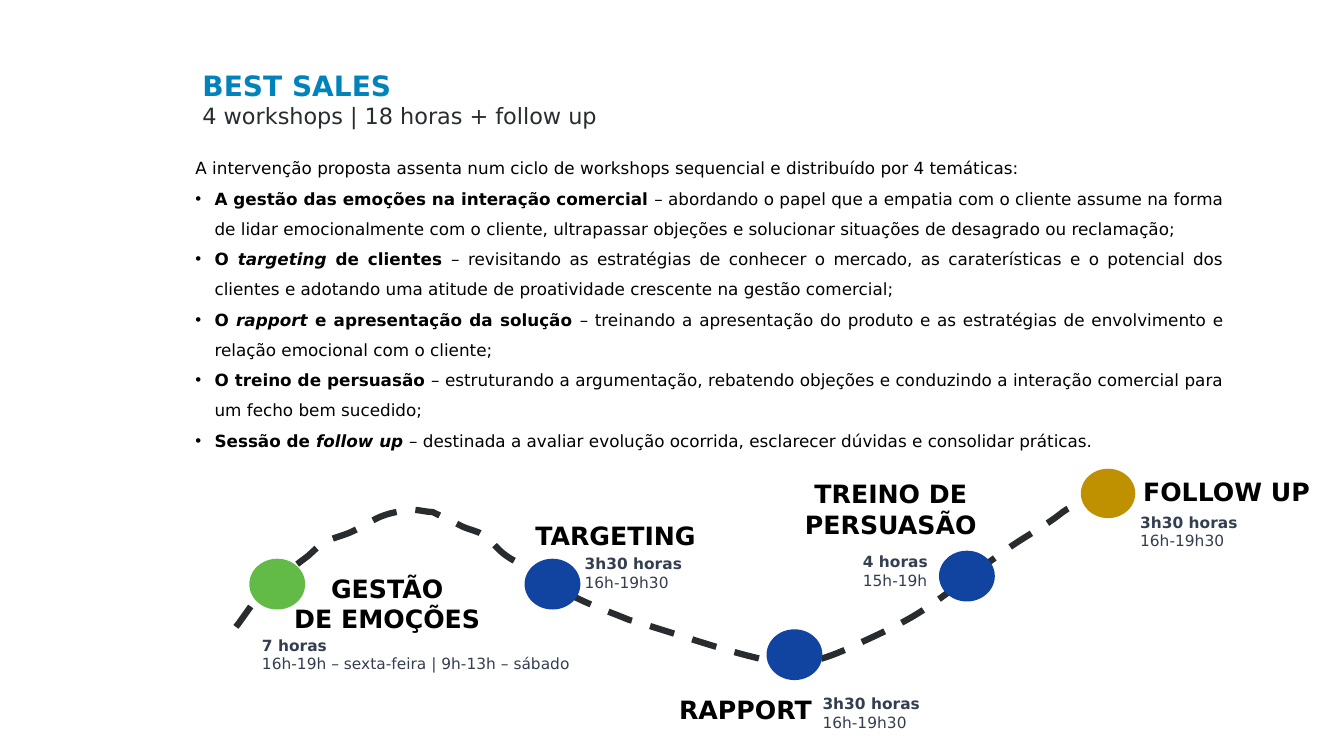
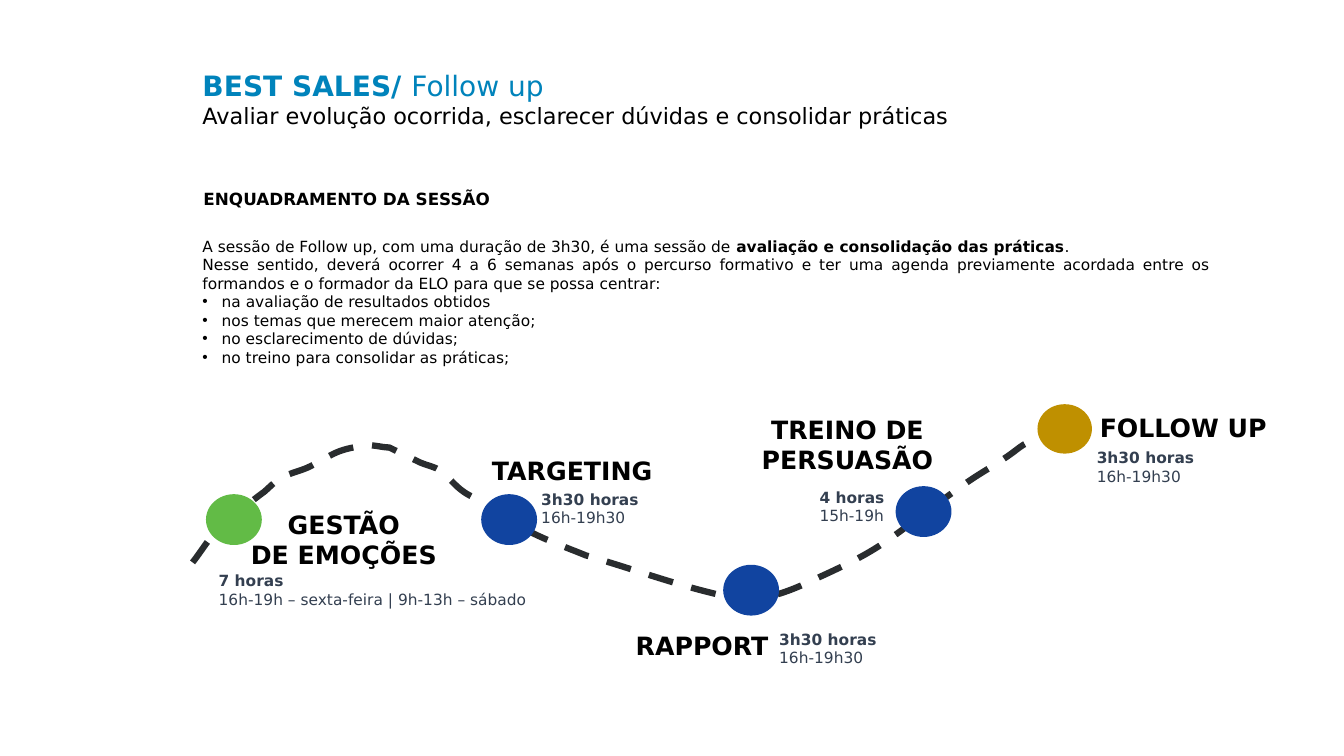
from math import cos, radians, sin

from lxml.etree import SubElement
from pptx import Presentation
from pptx.dml.color import RGBColor
from pptx.enum.dml import MSO_LINE
from pptx.enum.shapes import MSO_SHAPE
from pptx.enum.text import MSO_AUTO_SIZE, PP_ALIGN
from pptx.oxml.ns import qn
from pptx.util import Inches, Pt

FONT = "DejaVu Sans"
SKY, INK, BLACK, SLATE = "0083BB", "292C2E", "000000", "333F50"
GREEN, NAVY, GOLD = "62BB46", "1144A0", "BF9000"
LEFT, CENTER, RIGHT, JUSTIFY = PP_ALIGN.LEFT, PP_ALIGN.CENTER, PP_ALIGN.RIGHT, PP_ALIGN.JUSTIFY
DOT_W, DOT_H = 0.54, 0.49

SLIDES = [
    {
        "title": [[("BEST SALES", "b")], [("4 workshops | 18 horas + follow up", "")]],
        "title_width": 4.64,
        "subtitle_color": INK,
        "heading": None,
        "body_box": (1.84, 1.42, 10.4, 3.09),
        "body_size": 12,
        "body_spacing": 1.5,
        "intro": [
            [("A intervenção proposta assenta num ciclo de workshops sequencial e distribuído por 4 temáticas:", "")],
        ],
        "bullets": [
            [("A gestão das emoções na interação comercial ", "b"),
             ("– abordando o papel que a empatia com o cliente assume na forma de lidar emocionalmente com o "
              "cliente, ultrapassar objeções e solucionar situações de desagrado ou reclamação;", "")],
            [("O ", "b"), ("targeting", "bi"), (" de clientes ", "b"),
             ("– revisitando as estratégias de conhecer o mercado, as caraterísticas e o potencial dos clientes "
              "e adotando uma atitude de proatividade crescente na gestão comercial;", "")],
            [("O ", "b"), ("rapport", "bi"), (" e apresentação da solução ", "b"),
             ("– treinando a apresentação do produto e as estratégias de envolvimento e relação emocional "
              "com o cliente;", "")],
            [("O treino de persuasão ", "b"),
             ("– estruturando a argumentação, rebatendo objeções e conduzindo a interação comercial para um "
              "fecho bem sucedido;", "")],
            [("Sessão de ", "b"), ("follow up ", "bi"),
             ("– destinada a avaliar evolução ocorrida, esclarecer dúvidas e consolidar práticas.", "")],
        ],
        "roadmap_shift": (0, 0),
    },
    {
        "title": [[("BEST SALES/ ", "b"), ("Follow up", "")],
                  [("Avaliar evolução ocorrida, esclarecer dúvidas e consolidar práticas", "")]],
        "title_width": 9.88,
        "subtitle_color": BLACK,
        "heading": "ENQUADRAMENTO DA SESSÃO",
        "body_box": (1.91, 2.3, 10.2, 1.4),
        "body_size": 11,
        "body_spacing": 1.0,
        "intro": [
            [("A sessão de Follow up, com uma duração de 3h30, é uma sessão de ", ""),
             ("avaliação e consolidação das práticas", "b"), (".", "")],
            [("Nesse sentido, deverá ocorrer 4 a 6 semanas após o percurso formativo e ter uma agenda previamente "
              "acordada entre os formandos e o formador da ELO para que se possa centrar:", "")],
        ],
        "bullets": [
            [("na avaliação de resultados obtidos", "")],
            [("nos temas que merecem maior atenção;", "")],
            [("no esclarecimento de dúvidas;", "")],
            [("no treino para consolidar as práticas;", "")],
        ],
        "roadmap_shift": (-0.43, -0.64),
    },
]

STOPS = [
    {"dot": (2.48, 5.55), "color": GREEN, "name": ["GESTÃO", "DE EMOÇÕES"], "name_box": (2.69, 5.64, 2.3, 0.71),
     "align": CENTER, "time": ("7 horas", "16h-19h – sexta-feira | 9h-13h – sábado"),
     "time_box": (2.5, 6.26, 3.61, 0.47)},
    {"dot": (5.21, 5.55), "color": NAVY, "name": ["TARGETING"], "name_box": (5.12, 5.11, 1.97, 0.4),
     "align": CENTER, "time": ("3h30 horas", "16h-19h30"), "time_box": (5.7, 5.45, 1.3, 0.47)},
    {"dot": (7.61, 6.25), "color": NAVY, "name": ["RAPPORT"], "name_box": (6.18, 6.84, 1.97, 0.4),
     "align": RIGHT, "time": ("3h30 horas", "16h-19h30"), "time_box": (8.06, 6.84, 1.3, 0.47)},
    {"dot": (9.32, 5.47), "color": NAVY, "name": ["TREINO DE PERSUASÃO"], "name_box": (7.85, 4.7, 1.97, 0.71),
     "align": CENTER, "time": ("4 horas", "15h-19h"), "time_box": (8.46, 5.43, 0.9, 0.47)},
    {"dot": (10.72, 4.65), "color": GOLD, "name": ["FOLLOW UP"], "name_box": (11.18, 4.68, 1.97, 0.4),
     "align": CENTER, "time": ("3h30 horas", "16h-19h30"), "time_box": (11.21, 5.04, 1.3, 0.47)},
]

ROAD_BOX, ROAD_ANGLE = (2.84, 3.49, 7.66, 4.21), 20.6
ROAD_START = (2.34, 6.22)
ROAD_PIECES = [
    ((2.42, 6.12), (2.51, 5.97), (2.6, 5.88)),
    ((2.69, 5.8), (2.94, 5.6), (3.05, 5.52)),
    ((3.12, 5.46), (3.18, 5.39), (3.26, 5.36)),
    ((3.33, 5.33), (3.41, 5.31), (3.48, 5.28)),
    ((3.73, 5.16), (3.74, 5.1), (4.06, 5.06)),
    ((4.14, 5.05), (4.21, 5.08), (4.29, 5.08)),
    ((4.6, 5.23),),
    ((4.67, 5.26), (4.74, 5.27), (4.8, 5.31)),
    ((4.88, 5.37), (4.94, 5.46), (5.03, 5.52)),
    ((5.1, 5.57), (5.19, 5.6), (5.26, 5.65)),
    ((5.36, 5.71), (5.45, 5.79), (5.55, 5.84)),
    ((5.76, 5.97), (6.02, 6.06), (6.24, 6.15)),
    ((6.73, 6.29), (7.2, 6.47), (7.7, 6.57)),
    ((7.99, 6.63), (8.3, 6.49), (8.57, 6.36)),
    ((9.27, 6.04), (9.22, 5.99), (10.03, 5.42)),
    ((10.16, 5.33), (10.29, 5.26), (10.42, 5.17)),
    ((10.58, 5.06), (10.57, 5.03), (10.74, 5.01)),
    ((11, 4.97), (10.9, 5.05), (10.99, 4.97)),
]


def rgb(color):
    return RGBColor.from_string(color)


def add_bullet(p):
    pPr = p._p.get_or_add_pPr()
    pPr.set("marL", str(Inches(0.19)))
    pPr.set("indent", str(-Inches(0.19)))
    SubElement(pPr, qn("a:buFont")).set("typeface", "Arial")
    SubElement(pPr, qn("a:buChar")).set("char", "•")


def style_runs(p, size, color):
    for r in p.runs:
        r.font.name = FONT
        r.font.size = Pt(size)
        r.font.color.rgb = rgb(color)


def add_text(s, box, paragraphs, size, color, align=LEFT, spacing=1.0, first_bullet=None):
    tf = s.shapes.add_textbox(*map(Inches, box)).text_frame
    tf.word_wrap = True
    tf.auto_size = MSO_AUTO_SIZE.SHAPE_TO_FIT_TEXT
    for i, runs in enumerate(paragraphs):
        p = tf.add_paragraph() if i else tf.paragraphs[0]
        if first_bullet is not None and i >= first_bullet:
            add_bullet(p)
        p.alignment = align
        p.line_spacing = spacing
        for text, style in runs:
            r = p.add_run()
            r.text = text
            r.font.bold = "b" in style
            r.font.italic = "i" in style
        style_runs(p, size, color)
    return tf


def unrotate(pt):
    x, y, w, h = ROAD_BOX
    dx, dy = pt[0] - x - w / 2, pt[1] - y - h / 2
    a = radians(ROAD_ANGLE)
    return Inches(w / 2 + dx * cos(a) + dy * sin(a)), Inches(h / 2 - dx * sin(a) + dy * cos(a))


def add_road(s, shift):
    x, y, w, h = ROAD_BOX
    builder = s.shapes.build_freeform(*unrotate(ROAD_START))
    builder.add_line_segments([unrotate(piece[-1]) for piece in ROAD_PIECES], close=False)
    road = builder.convert_to_shape()
    road.left, road.top = Inches(x + shift[0]), Inches(y + shift[1])
    road.width, road.height = Inches(w), Inches(h)
    road.rotation = ROAD_ANGLE

    outline = next(road._element.iter(qn("a:path")))
    for child in list(outline):
        outline.remove(child)
    outline.set("w", str(Inches(w)))
    outline.set("h", str(Inches(h)))
    for i, piece in enumerate([(ROAD_START,)] + ROAD_PIECES):
        tag = "a:cubicBezTo" if len(piece) == 3 else "a:lnTo" if i else "a:moveTo"
        step = SubElement(outline, qn(tag))
        for pt in piece:
            px, py = unrotate(pt)
            SubElement(step, qn("a:pt"), x=str(px), y=str(py))

    road.shadow.inherit = False
    road.fill.background()
    road.line.color.rgb = rgb(INK)
    road.line.width = Pt(4.5)
    road.line.dash_style = MSO_LINE.DASH


def add_dot(s, x, y, color):
    sp = s.shapes.add_shape(MSO_SHAPE.OVAL, Inches(x), Inches(y), Inches(DOT_W), Inches(DOT_H))
    sp.shadow.inherit = False
    sp.fill.solid()
    sp.fill.fore_color.rgb = rgb(color)
    if color == GOLD:
        sp.line.fill.background()
    else:
        sp.line.color.rgb = rgb(color)
        sp.line.width = Pt(1)


def add_roadmap(s, shift):
    dx, dy = shift
    add_road(s, shift)
    for stop in STOPS:
        x, y = stop["dot"]
        add_dot(s, x + dx, y + dy, stop["color"])
    for stop in STOPS:
        hours, schedule = stop["time"]
        labels = [
            (stop["name_box"], [[(line, "b")] for line in stop["name"]], 18, BLACK, stop["align"]),
            (stop["time_box"], [[(hours, "b")], [(schedule, "")]], 11, SLATE, LEFT),
        ]
        for (x, y, w, h), *content in labels:
            add_text(s, (x + dx, y + dy, w, h), *content)


def build_slide(prs, data):
    s = prs.slides.add_slide(prs.slide_layouts[6])
    tf = add_text(s, (1.91, 0.63, data["title_width"], 0.71), data["title"], 20, SKY)
    style_runs(tf.paragraphs[1], 16, data["subtitle_color"])
    if data["heading"]:
        add_text(s, (1.92, 1.82, 4.66, 0.3), [[(data["heading"], "b")]], 12, BLACK, JUSTIFY)
    add_roadmap(s, data["roadmap_shift"])
    add_text(s, data["body_box"], data["intro"] + data["bullets"], data["body_size"], BLACK,
             JUSTIFY, data["body_spacing"], len(data["intro"]))


def main():
    prs = Presentation()
    prs.slide_width, prs.slide_height = Inches(13.33), Inches(7.5)
    for data in SLIDES:
        build_slide(prs, data)
    prs.save("out.pptx")


if __name__ == "__main__":
    main()
